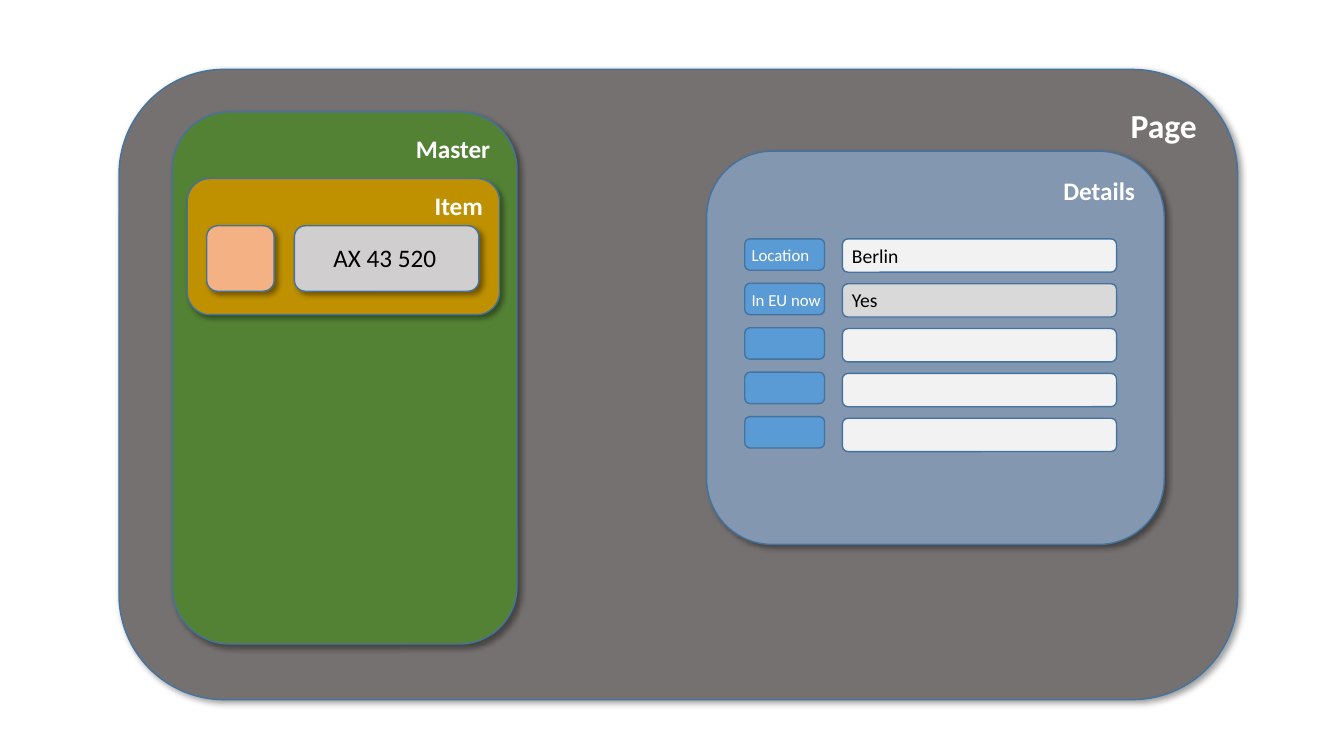
from lxml import etree
from pptx import Presentation
from pptx.dml.color import RGBColor as Rgb
from pptx.enum.shapes import MSO_SHAPE as Kind
from pptx.enum.text import MSO_ANCHOR as Anchor, MSO_AUTO_SIZE as Fit, PP_ALIGN as Align
from pptx.oxml.ns import qn
from pptx.util import Cm, Pt

HUES = {
    "page": "767171", "master": "548235", "item": "BF9000", "details": "8497B0",
    "icon": "F4B183", "plate": "D0CECE", "label": "5B9BD5", "field": "F2F2F2",
    "fixed": "D9D9D9", "edge": "43739E", "white": "FFFFFF", "black": "000000",
}


class Board:
    font = "Calibri"

    def __init__(self, slide):
        self.slide = slide

    def hue(self, name):
        return Rgb.from_string(HUES[name])

    def style(self, frame, text, size, hue, bold=False):
        frame.text = text
        font = frame.paragraphs[0].runs[0].font
        font.name, font.size, font.bold = self.font, Pt(size), bold
        font.color.rgb = self.hue(hue)

    def box(self, hue, *place):
        shape = self.slide.shapes.add_shape(Kind.ROUNDED_RECTANGLE, *map(Cm, place))
        shape.shadow.inherit = False
        shape.fill.solid()
        shape.fill.fore_color.rgb = self.hue(hue)
        shape.line.color.rgb = self.hue("edge")
        shape.line.width = Pt(1)
        return shape

    def raised(self, hue, *place):
        """Draw a box that casts a shadow to the lower right."""
        shape = self.box(hue, *place)
        effects = shape._element.spPr.find(qn("a:effectLst"))
        shadow = etree.SubElement(effects, qn("a:outerShdw"), blurRad=str(Pt(4)),
                                  dist=str(Pt(3)), dir="2700000", algn="tl", rotWithShape="0")
        color = etree.SubElement(shadow, qn("a:srgbClr"), val=HUES["black"])
        etree.SubElement(color, qn("a:alpha"), val="40000")
        return shape

    def panel(self, title, size, hue, *place):
        frame = self.raised(hue, *place).text_frame
        frame.vertical_anchor = Anchor.TOP
        self.style(frame, title, size, "white", True)
        frame.paragraphs[0].alignment = Align.RIGHT

    def text(self, text, size, hue, *place):
        frame = self.slide.shapes.add_textbox(*map(Cm, place)).text_frame
        frame.word_wrap = False
        frame.auto_size = Fit.SHAPE_TO_FIT_TEXT
        self.style(frame, text, size, hue)


def main():
    deck = Presentation()
    deck.slide_width, deck.slide_height = Cm(33.87), Cm(19.05)
    board = Board(deck.slides.add_slide(deck.slide_layouts[6]))

    board.panel("Page", 24, "page", 3, 1.75, 28.19, 15.88)
    board.panel("Master", 18, "master", 4.34, 2.82, 8.69, 13.41)
    board.panel("Item", 18, "item", 4.72, 4.5, 7.87, 3.43)
    board.panel("Details", 18, "details", 17.81, 3.81, 11.53, 9.91)

    board.raised("icon", 5.21, 5.69, 1.7, 1.65)
    board.raised("plate", 7.42, 5.69, 4.65, 1.65)
    board.text("AX 43 520", 18, "black", 8.15, 5.97, 3.12, 1.02)

    top = 6.02
    for row in range(5):
        board.box("label", 18.77, top + row * 1.12, 2.01, 0.79)
        board.box("fixed" if row == 1 else "field", 21.23, top + row * 1.13, 6.91, 0.84)

    entries = [("Location", 1.98, "Berlin", 1.7), ("In EU now", 2.29, "Yes", 1.17)]
    for row, (label, wide, value, span) in enumerate(entries):
        high = top + row * 1.12
        board.text(label, 12, "white", 18.69, high + 0.03, wide, 0.76)
        board.text(value, 14, "black", 21.22, high, span, 0.86)

    deck.save("out.pptx")


if __name__ == "__main__":
    main()
